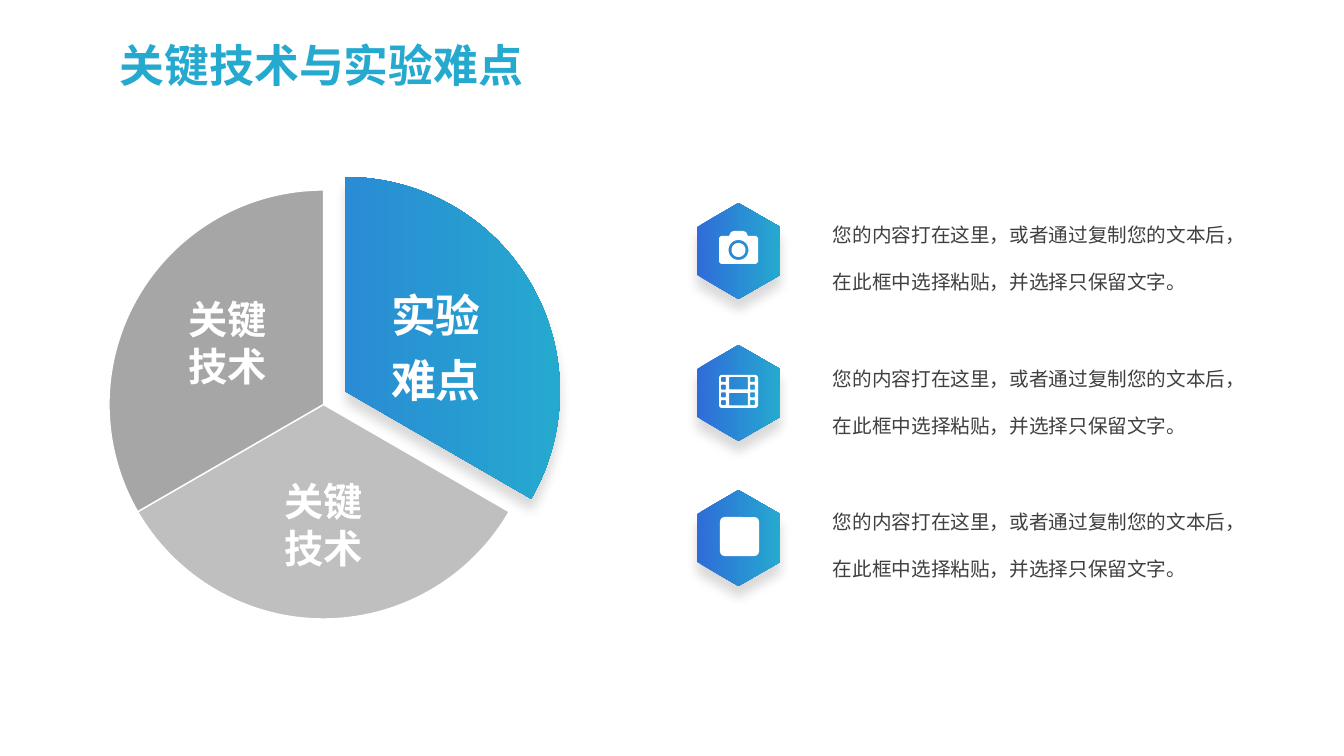
import math
from lxml import etree
from pptx import Presentation
from pptx import util as u
from pptx.dml.color import RGBColor
from pptx.enum import shapes, text
from pptx.oxml.ns import qn

W, H = 1344, 756
PX = 12192000 / W
FINE = 10  # freeform grid steps per px
FONT = "Noto Sans CJK SC"
C = {"blue": "2F6CD9", "teal": "25A9CF", "light": "BFBFBF", "mid": "A6A6A6",
     "white": "FFFFFF", "ink": "404040", "black": "000000"}
BODY = "您的内容打在这里，或者通过复制您的文本后，在此框中选择粘贴，并选择只保留文字。"


def px(*vals):
    return [u.Emu(round(v * PX)) for v in vals]


def rgb(name):
    return RGBColor.from_string(C[name])


def assign(obj, values):
    for name, value in values.items():
        setattr(obj, name, value)


def paint(sp, fill, line=None):
    """Solid fill with an optional outline, no shadow."""
    sp.shadow.inherit = False
    sp.fill.solid()
    sp.fill.fore_color.rgb = rgb(fill)
    if line:
        sp.line.color.rgb = rgb(line)
        sp.line.width = u.Pt(1)
    else:
        sp.line.fill.background()


def paint_raised(sp):
    """Blue to teal gradient with a soft shadow below."""
    sp.fill.gradient()
    sp.fill.gradient_angle = 0
    for stop, name in zip(sp.fill.gradient_stops, ("blue", "teal")):
        stop.color.rgb = rgb(name)
    sp.line.fill.background()
    sp.shadow.inherit = False
    effects = sp._element.spPr.find(qn("a:effectLst"))
    shadow = etree.SubElement(effects, qn("a:outerShdw"), blurRad=str(u.Pt(8)),
                              dist=str(u.Pt(8)), dir="5400000", algn="t", rotWithShape="0")
    color = etree.SubElement(shadow, qn("a:srgbClr"), val=C["black"])
    etree.SubElement(color, qn("a:alpha"), val="15000")


def add_text(s, box, lines, size, color, bold=False, wrap=True, frame=None, para=None):
    tf = s.shapes.add_textbox(*px(*box)).text_frame
    assign(tf, {"word_wrap": wrap, **(frame or {})})
    for i, line in enumerate(lines):
        p = tf.add_paragraph() if i else tf.paragraphs[0]
        assign(p, para or {})
        r = p.add_run()
        r.text = line
        assign(r.font, {"size": u.Pt(size), "bold": bold, "name": FONT})
        r.font.color.rgb = rgb(color)
        etree.SubElement(r.font._element, qn("a:ea"), typeface=FONT)


def add_wedge(s, left, top, start):
    """A third of a disc, clockwise from the start angle."""
    sp = s.shapes.add_shape(shapes.MSO_SHAPE.PIE, *px(left, top, 429, 429))
    for i, degrees in enumerate((start, (start + 120) % 360)):
        sp.adjustments[i] = degrees * 0.6
    return sp


def add_outline(s, contours):
    """One freeform; inner contours cut holes."""
    scaled = [[(round(x * FINE), round(y * FINE)) for x, y in c] for c in contours]
    fb = s.shapes.build_freeform(*scaled[0][0], scale=PX / FINE)
    for i, points in enumerate(scaled):
        if i:
            fb.move_to(*points[0])
        fb.add_line_segments(points[1:], close=True)
    return fb.convert_to_shape()


def rounded(x, y, w, h, radius):
    points = []
    for quarter, (cx, cy) in enumerate([(x + w - radius, y + h - radius), (x + radius, y + h - radius),
                                        (x + radius, y + radius), (x + w - radius, y + radius)]):
        for step in range(10):
            a = math.radians(quarter * 90 + step * 10)
            points.append((cx + radius * math.cos(a), cy + radius * math.sin(a)))
    return points


def circle(cx, cy, radius):
    return rounded(cx - radius, cy - radius, 2 * radius, 2 * radius, radius)


def add_hexagon(s, left, top):
    right, mid, upper, lower = left + 83, left + 41.5, top + 24, top + 72
    paint_raised(add_outline(s, [[(mid, top), (right, upper), (right, lower),
                                  (mid, top + 96), (left, lower), (left, upper)]]))


def add_camera(s):
    body = [(721, 236), (729, 236), (731, 232), (734, 231), (743, 231), (746, 232), (748, 236),
            (756, 236), (758, 238), (758, 262), (756, 264), (721, 264), (719, 262), (719, 238)]
    paint(add_outline(s, [body, circle(738.5, 250, 10), circle(738.5, 250, 7)]), "white")


def add_film(s):
    holes = [rounded(x, 377 + 7.7 * i, 5, 5, 1) for x in (721, 750) for i in range(4)]
    frames = [rounded(729, y, 19, 12.5, 1) for y in (377, 393)]
    paint(add_outline(s, [rounded(719, 375, 39, 33, 3)] + holes + frames), "white")


def add_plain_icon(s):
    sp = s.shapes.add_shape(shapes.MSO_SHAPE.ROUNDED_RECTANGLE, *px(720, 517, 39, 39))
    sp.adjustments[0] = 0.12
    paint(sp, "white")


def main():
    prs = Presentation()
    prs.slide_width, prs.slide_height = px(W, H)
    s = prs.slides.add_slide(prs.slide_layouts[6])

    # Title
    add_text(s, (110, 33, 438, 65), ["关键技术与实验难点"], 32, "teal", bold=True, wrap=False)

    # Split disc
    paint_raised(add_wedge(s, 131, 177, 270))
    paint(add_wedge(s, 109, 190, 30), "light", "white")
    paint(add_wedge(s, 109, 190, 150), "mid", "white")

    # Disc labels
    center = text.PP_ALIGN.CENTER
    for left, top in ((269, 470), (173, 288)):
        add_text(s, (left, top, 110, 114), ["关键", "技术"], 28, "white", bold=True,
                 frame={"vertical_anchor": text.MSO_ANCHOR.MIDDLE, "margin_top": 0, "margin_bottom": 0},
                 para={"alignment": center, "line_spacing": 0.9, "space_after": u.Pt(3.5)})
    add_text(s, (374, 272, 124, 136), ["实验", "难点"], 32, "white", bold=True,
             para={"alignment": center, "line_spacing": 1.2})

    # Icon rows
    for badge_top, text_top, add_icon in ((203, 194, add_camera), (345, 338, add_film),
                                          (490, 481, add_plain_icon)):
        add_hexagon(s, 697, badge_top)
        add_icon(s)
        add_text(s, (823, text_top, 417, 105), [BODY], 14, "ink", para={"line_spacing": 2.0})

    prs.save("out.pptx")


if __name__ == "__main__":
    main()
